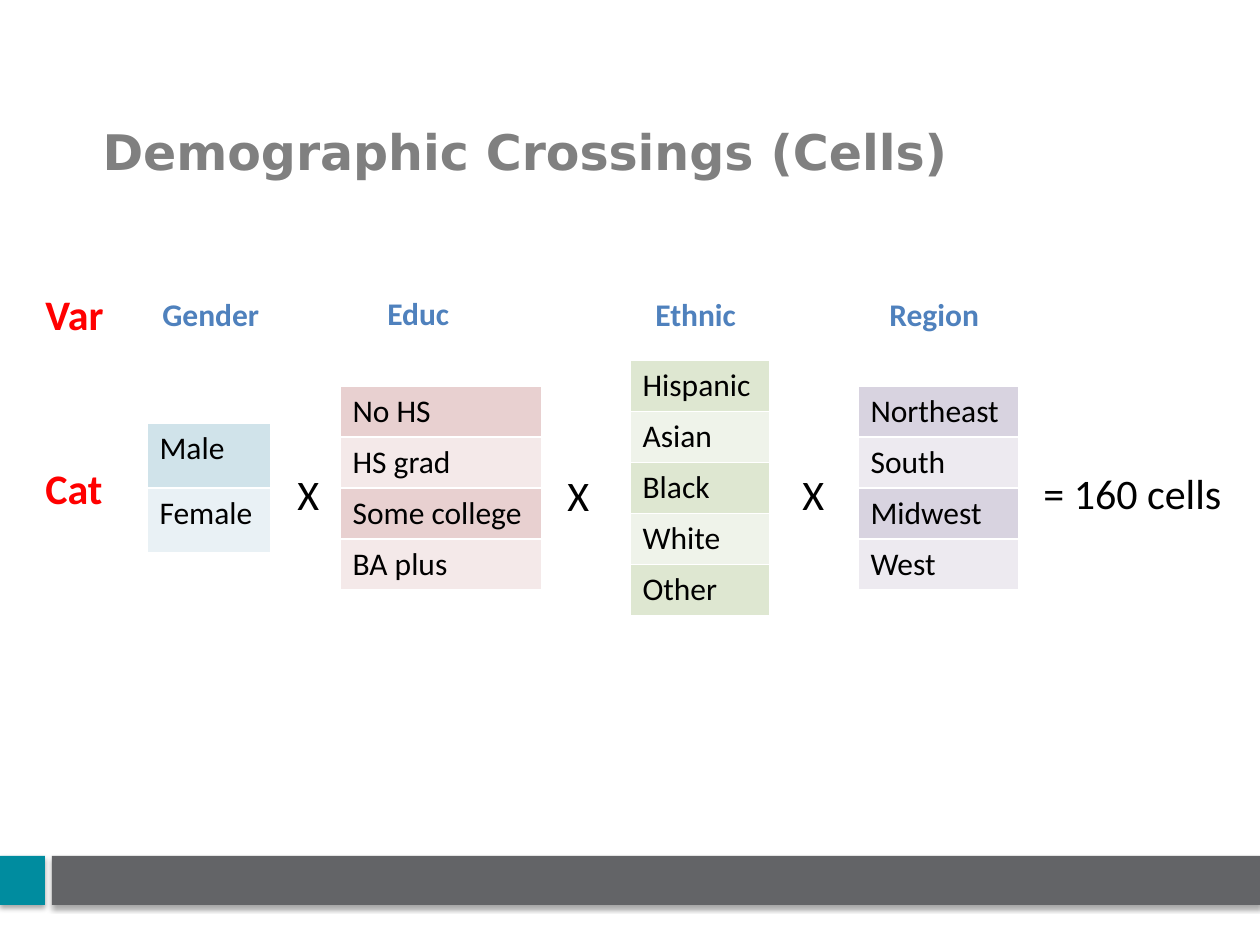
from lxml import etree
from pptx import Presentation
from pptx.dml.color import RGBColor
from pptx.enum.shapes import MSO_SHAPE
from pptx.enum.text import MSO_ANCHOR, MSO_AUTO_SIZE, PP_ALIGN
from pptx.oxml import parse_xml
from pptx.oxml.ns import nsdecls
from pptx.util import Emu, Pt

PX = 914400 / 126  # EMU per px
FONT = "Calibri"
COLORS = {
    "teal": "008C9F", "gray": "636467", "title": "808080", "black": "000000",
    "white": "FFFFFF", "red": "FF0000", "blue": "4F81BD",
}

# Content: label, label box (left, top, width), table left, width, row height, bands, rows
VARIABLES = [
    ("Gender", (150, 289, 122), 147, 124, 65, ("D0E3EA", "E9F1F5"),
     ["Male", "Female"]),
    ("Educ", (375, 288, 87), 340, 202, 51, ("E8D0D0", "F4E9E9"),
     ["No HS", "HS grad", "Some college", "BA plus"]),
    ("Ethnic", (643, 289, 107), 630, 140, 51, ("DEE7D1", "EFF3EA"),
     ["Hispanic", "Asian", "Black", "White", "Other"]),
    ("Region", (877, 289, 122), 858, 161, 51, ("D8D3E0", "EDEAF0"),
     ["Northeast", "South", "Midwest", "West"]),
]
TABLE_MIDDLE = 488
ROW_LABELS = [("Var", (33, 282, 84)), ("Cat", (33, 456, 83))]
OPERATORS = [
    ("X", (285, 462, 48)), ("X", (555, 463, 48)), ("X", (790, 462, 48)),
    ("= 160 cells", (1031, 461, 205)),
]
FOOTER_BARS = [(0, 45, "teal"), (52, 1208, "gray")]


def px(*values):
    return [Emu(round(v * PX)) for v in values]


def rgb(name):
    return RGBColor.from_string(COLORS.get(name, name))


def add_run(p, text, size, color, bold=False, font=FONT):
    r = p.add_run()
    r.text = text
    r.font.name, r.font.size, r.font.bold = font, Pt(size), bold
    r.font.color.rgb = rgb(color)


def add_label(s, text, box, size, color, bold=False):
    left, top, width = box
    height = 63 if size == 24 else 51
    tf = s.shapes.add_textbox(*px(left, top, width, height)).text_frame
    tf.word_wrap = False
    tf.auto_size = MSO_AUTO_SIZE.SHAPE_TO_FIT_TEXT
    add_run(tf.paragraphs[0], text, size, color, bold)


def add_bar(s, left, width, color):
    sp = s.shapes.add_shape(MSO_SHAPE.RECTANGLE, *px(left, 856, width, 49))
    sp.fill.solid()
    sp.fill.fore_color.rgb = rgb(color)
    sp.line.fill.background()
    sp._element.spPr.append(parse_xml(
        f'<a:effectLst {nsdecls("a")}><a:outerShdw blurRad="{Pt(3.1)}" dist="{Pt(1.8)}" '
        'dir="5400000" rotWithShape="0"><a:srgbClr val="000000"><a:alpha val="35000"/>'
        '</a:srgbClr></a:outerShdw></a:effectLst>'))


def set_borders(cell, color):
    tcPr = cell._tc.get_or_add_tcPr()
    for i, side in enumerate(("lnL", "lnR", "lnT", "lnB")):
        ln = parse_xml(f'<a:{side} {nsdecls("a")} w="{Pt(1)}"><a:solidFill>'
                       f'<a:srgbClr val="{color}"/></a:solidFill></a:{side}>')
        tcPr.insert(i, ln)


def add_category_table(s, left, width, row_height, bands, rows):
    height = row_height * len(rows)
    frame = s.shapes.add_table(
        len(rows), 1, *px(left, TABLE_MIDDLE - height / 2, width, height))
    table = frame.table
    table.first_row = table.horz_banding = False
    for i, text in enumerate(rows):
        cell = table.cell(i, 0)
        cell.fill.solid()
        cell.fill.fore_color.rgb = rgb(bands[i % 2])
        set_borders(cell, COLORS["white"])
        add_run(cell.text_frame.paragraphs[0], text, 18, "black")


prs = Presentation()
prs.slide_width, prs.slide_height = px(1260, 945)
s = prs.slides.add_slide(prs.slide_layouts[5])

# Footer bars
for bar in FOOTER_BARS:
    add_bar(s, *bar)

# Title
title = s.shapes.title
title.left, title.top, title.width, title.height = px(90, 111, 1107, 87)
tf = title.text_frame
tf.vertical_anchor = MSO_ANCHOR.TOP
tf.margin_top = px(10)[0]
p = tf.paragraphs[0]
p.alignment = PP_ALIGN.LEFT
add_run(p, "Demographic Crossings (Cells)", 28, "title", True, "DejaVu Sans")

# Variables with their categories
for name, box, *table_parts in VARIABLES:
    add_category_table(s, *table_parts)
    add_label(s, name, box, 18, "blue", True)

# Row labels, crossing signs and result
for text, box in ROW_LABELS:
    add_label(s, text, box, 24, "red", True)
for text, box in OPERATORS:
    add_label(s, text, box, 24, "black")

prs.save("out.pptx")
